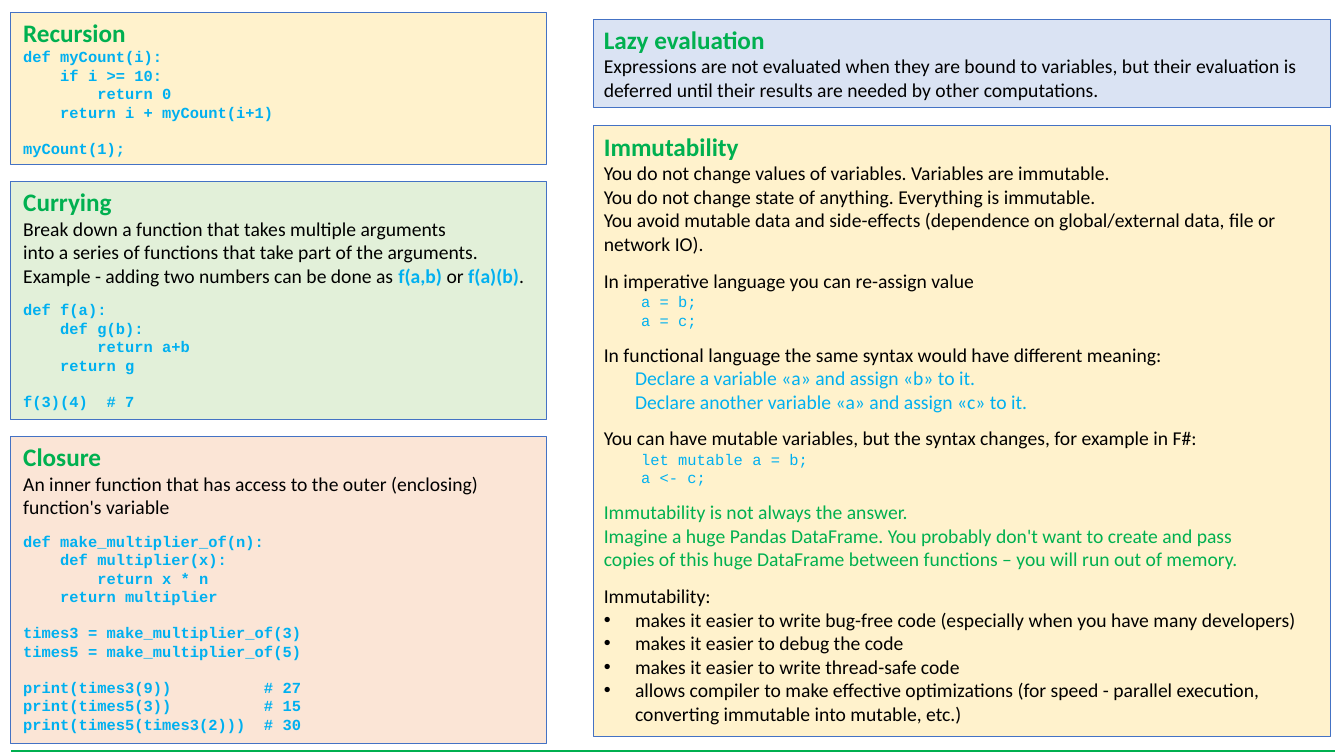
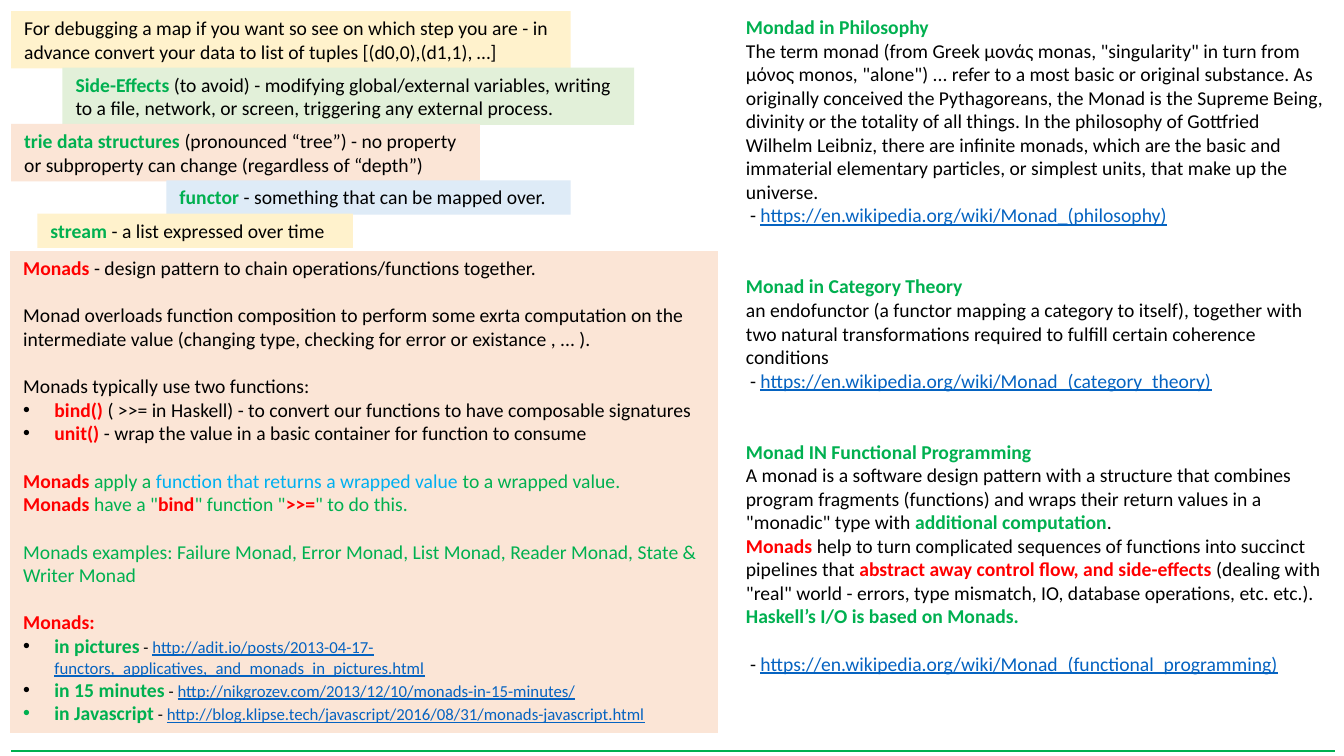
import dataclasses
from typing import Optional

import pptx
import pptx.dml.color
import pptx.enum.shapes
import pptx.enum.text
import pptx.oxml.ns
import pptx.util
from lxml import etree
from pptx.util import Inches, Pt

RGBColor = pptx.dml.color.RGBColor

# Colours
BLACK = RGBColor(0x00, 0x00, 0x00)
GREEN = RGBColor(0x00, 0xB0, 0x50)
CYAN = RGBColor(0x00, 0xB0, 0xF0)
RED = RGBColor(0xFF, 0x00, 0x00)
LINK_BLUE = RGBColor(0x05, 0x63, 0xC1)
OUTLINE = RGBColor(0x44, 0x72, 0xC4)
YELLOW_FILL = RGBColor(0xFF, 0xF2, 0xCC)
GREEN_FILL = RGBColor(0xE2, 0xF0, 0xD9)
PEACH_FILL = RGBColor(0xFB, 0xE5, 0xD6)
LAVENDER_FILL = RGBColor(0xDA, 0xE3, 0xF3)
BLUE_FILL = RGBColor(0xDE, 0xEB, 0xF7)

# Spacing in points and inches
SMALL_GAP = 9.5
CODE_GAP = 12.5
LINE_GAP = 17
BULLET_INDENT = 0.31
CODE_INDENT = 0.37
LINK_INDENT = 0.04


@dataclasses.dataclass
class Style:
    color: RGBColor = BLACK
    bold: bool = False
    size: float = 14
    font: str = "Calibri"
    underline: bool = False


BODY = Style()
TITLE = Style(GREEN, True, 18)
TERM = Style(GREEN, True)
KEY = Style(RED, True)
BLUE_BOLD = Style(CYAN, True)
BLUE = Style(CYAN)
GREEN_BODY = Style(GREEN)
CODE = Style(CYAN, True, 11, "Courier New")
PLAIN_CODE = Style(CYAN, False, 11, "Courier New")
LINK = Style(LINK_BLUE, underline=True)
SMALL = Style(size=12)
SMALL_LINK = Style(LINK_BLUE, size=12, underline=True)


@dataclasses.dataclass
class Line:
    runs: list
    before: float = 0
    indent: float = 0
    bullet: Optional[RGBColor] = None


def line(*runs, **options):
    """A plain string among the runs takes the body style."""
    return Line([(run, BODY) if isinstance(run, str) else run for run in runs], **options)


def lines(text, style=BODY, before=0, gap=CODE_GAP, **options):
    """One Line per row of text; an empty row becomes space before the next."""
    result = []
    for row in text.split("\n"):
        if row:
            result.append(Line([(row, style)], before, **options))
        before = 0 if row else gap
    return result


def bullet(*runs, color=BLACK):
    return line(*runs, indent=BULLET_INDENT, bullet=color)


# Drawing helpers
def add_bullet(paragraph, color):
    properties = paragraph._p.get_or_add_pPr()
    properties.set("indent", str(-Inches(BULLET_INDENT)))
    qn = pptx.oxml.ns.qn
    bullet_color = etree.SubElement(properties, qn("a:buClr"))
    etree.SubElement(bullet_color, qn("a:srgbClr"), val=str(color))
    etree.SubElement(properties, qn("a:buFont"), typeface="Arial")
    etree.SubElement(properties, qn("a:buChar"), char="•")


def fill_text(shape, content, inset):
    frame = shape.text_frame
    frame.word_wrap = True
    frame.vertical_anchor = pptx.enum.text.MSO_ANCHOR.TOP
    frame.margin_left = frame.margin_right = Inches(inset)
    frame.margin_top = frame.margin_bottom = Inches(0.05)
    for index, item in enumerate(content):
        paragraph = frame.add_paragraph() if index else frame.paragraphs[0]
        paragraph.alignment = pptx.enum.text.PP_ALIGN.LEFT
        if item.before:
            paragraph.space_before = Pt(item.before)
        if item.indent:
            paragraph._p.get_or_add_pPr().set("marL", str(Inches(item.indent)))
        if item.bullet is not None:
            add_bullet(paragraph, item.bullet)
        for text, style in item.runs:
            run = paragraph.add_run()
            run.text = text
            run.font.name = style.font
            run.font.size = Pt(style.size)
            run.font.bold = style.bold
            run.font.underline = style.underline
            run.font.color.rgb = style.color


def add_panel(slide, box, fill, content, inset=0.13, outlined=False):
    shape = slide.shapes.add_shape(
        pptx.enum.shapes.MSO_SHAPE.RECTANGLE, *(Inches(length) for length in box))
    shape.shadow.inherit = False
    shape.fill.solid()
    shape.fill.fore_color.rgb = fill
    if outlined:
        shape.line.color.rgb = OUTLINE
        shape.line.width = Pt(0.75)
    else:
        shape.line.fill.background()
    fill_text(shape, content, inset)


def stack_panels(slide, box, gap, panels, **options):
    """Stack (height, fill, content) panels down the box."""
    left, top, width = box
    for height, fill, content in panels:
        add_panel(slide, (left, top, width, height), fill, content, outlined=True, **options)
        top += height + gap


def new_slide(presentation):
    """Blank slide with the green rule at the foot."""
    slide = presentation.slides.add_slide(presentation.slide_layouts[6])
    rule = slide.shapes.add_connector(
        pptx.enum.shapes.MSO_CONNECTOR.STRAIGHT,
        Inches(0.11), Inches(7.45), Inches(13.24), Inches(7.45))
    rule.line.color.rgb = GREEN
    rule.line.width = Pt(2)
    etree.SubElement(rule._element.spPr, pptx.oxml.ns.qn("a:effectLst"))
    return slide


# Slide 1: function techniques, laziness and immutability
def techniques_column(slide, box):
    recursion = [line(("Recursion", TITLE))] + lines("""def myCount(i):
    if i >= 10:
        return 0
    return i + myCount(i+1)

myCount(1);""", CODE)
    currying = [
        line(("Currying", TITLE)),
        line("Break down a function that takes multiple arguments"),
        line("into a series of functions that take part of the arguments."),
        line("Example - adding two numbers can be done as", (" f(a,b)", BLUE_BOLD), " or ",
             ("f(a)(b)", BLUE_BOLD), "."),
    ] + lines("""def f(a):
    def g(b):
        return a+b
    return g

f(3)(4)  # 7""", CODE, SMALL_GAP)
    closure = [
        line(("Closure", TITLE)),
        line("An inner function that has access to the outer (enclosing) function's variable"),
    ] + lines("""def make_multiplier_of(n):
    def multiplier(x):
        return x * n
    return multiplier

times3 = make_multiplier_of(3)
times5 = make_multiplier_of(5)

print(times3(9))          # 27
print(times5(3))          # 15
print(times5(times3(2)))  # 30""", CODE, SMALL_GAP)
    stack_panels(slide, box, 0.17, [
        (1.51, YELLOW_FILL, recursion),
        (2.36, GREEN_FILL, currying),
        (3.05, PEACH_FILL, closure),
    ])


def principles_column(slide, box):
    lazy = [
        line(("Lazy evaluation", TITLE)),
        line("Expressions are not evaluated when they are bound to variables, but their "
             "evaluation is deferred until their results are needed by other computations."),
    ]
    immutability = [
        line(("Immutability", TITLE)),
        *lines("""You do not change values of variables. Variables are immutable.
You do not change state of anything. Everything is immutable.
You avoid mutable data and side-effects (dependence on global/external data, file or network IO).

In imperative language you can re-assign value""", gap=SMALL_GAP),
        *lines("a = b;\na = c;", PLAIN_CODE, indent=CODE_INDENT),
        line("In functional language the same syntax would have different meaning:",
             before=SMALL_GAP),
        *lines("Declare a variable «a» and assign «b» to it.\n"
               "Declare another variable «a» and assign «c» to it.", BLUE, indent=BULLET_INDENT),
        line("You can have mutable variables, but the syntax changes, for example in F#:",
             before=SMALL_GAP),
        *lines("let mutable a = b;\na <- c;", PLAIN_CODE, indent=CODE_INDENT),
        *lines("""Immutability is not always the answer.
Imagine a huge Pandas DataFrame. You probably don't want to create and pass
copies of this huge DataFrame between functions – you will run out of memory.""",
               GREEN_BODY, SMALL_GAP),
        line("Immutability:", before=SMALL_GAP),
        bullet("makes it easier to write bug-free code (especially when you have many developers)"),
        bullet("makes it easier to debug the code"),
        bullet("makes it easier to write thread-safe code"),
        bullet("allows compiler to make effective optimizations (for speed - parallel execution, "
               "converting immutable into mutable, etc.)"),
    ]
    stack_panels(slide, box, 0.18, [
        (0.88, LAVENDER_FILL, lazy),
        (6.06, YELLOW_FILL, immutability),
    ], inset=0.1)


# Slide 2: short definitions and monads
def definition_strips(slide, box):
    left, top = box
    strips = [  # offset, width, height, fill, term, explanation
        (0, 5.55, 0.57, YELLOW_FILL, "", "For debugging a map if you want so see on which step "
         "you are - in advance convert your data to list of tuples [(d0,0),(d1,1), …]"),
        (0.51, 5.67, 0.57, GREEN_FILL, "Side-Effects", " (to avoid) - modifying global/external "
         "variables, writing to a file, network, or screen, triggering any external process."),
        (0, 4.65, 0.57, PEACH_FILL, "trie data structures", " (pronounced “tree”) - no property "
         "or subproperty can change (regardless of “depth”)"),
        (1.54, 4.01, 0.34, BLUE_FILL, "functor", " - something that can be mapped over."),
        (0.26, 3.13, 0.34, YELLOW_FILL, "stream", " - a list expressed over time"),
    ]
    for offset, width, height, fill, term, explanation in strips:
        runs = [(term, TERM), explanation] if term else [explanation]
        add_panel(slide, (left + offset, top, width, height), fill, [line(*runs)])
        top += height - 0.01


def monads_panel(slide, box):
    tutorials = [
        ("in pictures", BLACK, "http://adit.io/posts/2013-04-17-"
         "functors,_applicatives,_and_monads_in_pictures.html"),
        ("in 15 minutes", BLACK, "http://nikgrozev.com/2013/12/10/monads-in-15-minutes/"),
        ("in Javascript", GREEN,
         "http://blog.klipse.tech/javascript/2016/08/31/monads-javascript.html"),
    ]
    add_panel(slide, box, PEACH_FILL, [
        line(("Monads", KEY), " - design pattern to chain operations/functions together."),
        line("Monad overloads function composition to perform some exrta computation on the "
             "intermediate value (changing type, checking for error or existance , ... ).",
             before=LINE_GAP),
        line("Monads typically use two functions:", before=LINE_GAP),
        bullet(("bind()", KEY),
               " ( >>= in Haskell) - to convert our functions to have composable signatures"),
        bullet(("unit()", KEY), " - wrap the value in a basic container for function to consume"),
        line(("Monads", KEY), (" apply a ", GREEN_BODY),
             ("function that returns a wrapped value", BLUE),
             (" to a wrapped value.", GREEN_BODY), before=LINE_GAP),
        line(("Monads", KEY), (' have a "', GREEN_BODY), ("bind", KEY),
             ('" function "', GREEN_BODY), (">>=", KEY), ('" to do this.', GREEN_BODY)),
        line(("Monads examples: Failure Monad, Error Monad, List Monad, Reader Monad, "
              "State & Writer Monad", GREEN_BODY), before=LINE_GAP),
        line(("Monads:", KEY), before=LINE_GAP),
        *(bullet((name, TERM), (" - ", SMALL), (address, SMALL_LINK), color=color)
          for name, color, address in tutorials),
    ])


def monad_meanings(slide, box):
    def reference(page, before=0):
        address = f"https://en.wikipedia.org/wiki/{page}"
        return line("- ", (address, LINK), before=before, indent=LINK_INDENT)

    shape = slide.shapes.add_textbox(*(Inches(length) for length in box))
    fill_text(shape, [
        line(("Mondad in Philosophy", TERM)),
        line('The term monad (from Greek μονάς monas, "singularity" in turn from μόνος monos, '
             '"alone") ... refer to a most basic or original substance. As originally conceived '
             'the Pythagoreans, the Monad is the Supreme Being, divinity or the totality of all '
             'things. In the philosophy of Gottfried Wilhelm Leibniz, there are infinite monads, '
             'which are the basic and immaterial elementary particles, or simplest units, that '
             'make up the universe.'),
        reference("Monad_(philosophy)"),
        line(("Monad in Category Theory", TERM), before=2 * LINE_GAP),
        line("an endofunctor (a functor mapping a category to itself), together with two natural "
             "transformations required to fulfill certain coherence conditions"),
        reference("Monad_(category_theory)"),
        line(("Monad IN Functional Programming", TERM), before=2 * LINE_GAP),
        line("A monad is a software design pattern with a structure that combines program "
             "fragments (functions) and wraps their return values in a \"monadic\" type with ",
             ("additional computation", TERM), "."),
        line(("Monads", KEY), " help to turn complicated sequences of functions into succinct "
             "pipelines that ", ("abstract away control flow, and side-effects", KEY),
             ' (dealing with "real" world - errors, type mismatch, IO, database operations, '
             'etc. etc.).'),
        line(("Haskell’s I/O is based on Monads.", TERM)),
        reference("Monad_(functional_programming)", LINE_GAP),
    ], 0.1)


def main():
    presentation = pptx.Presentation()
    presentation.slide_width = Inches(13.33)
    presentation.slide_height = Inches(7.5)

    slide = new_slide(presentation)
    techniques_column(slide, (0.1, 0.12, 5.32))
    principles_column(slide, (5.89, 0.19, 7.31))

    slide = new_slide(presentation)
    definition_strips(slide, (0.11, 0.11))
    monads_panel(slide, (0.1, 2.49, 7.02, 4.78))
    monad_meanings(slide, (7.3, 0.1, 5.95, 6.7))

    presentation.save("out.pptx")


if __name__ == "__main__":
    main()
